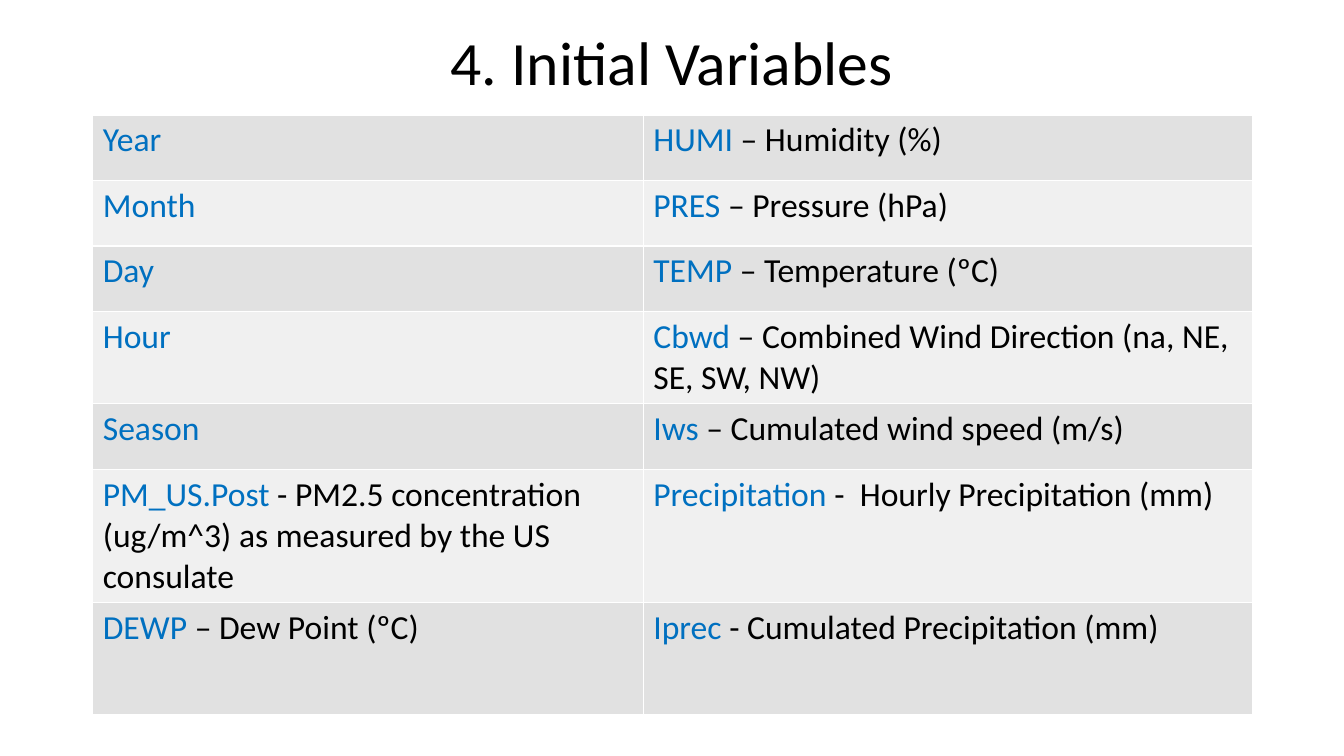
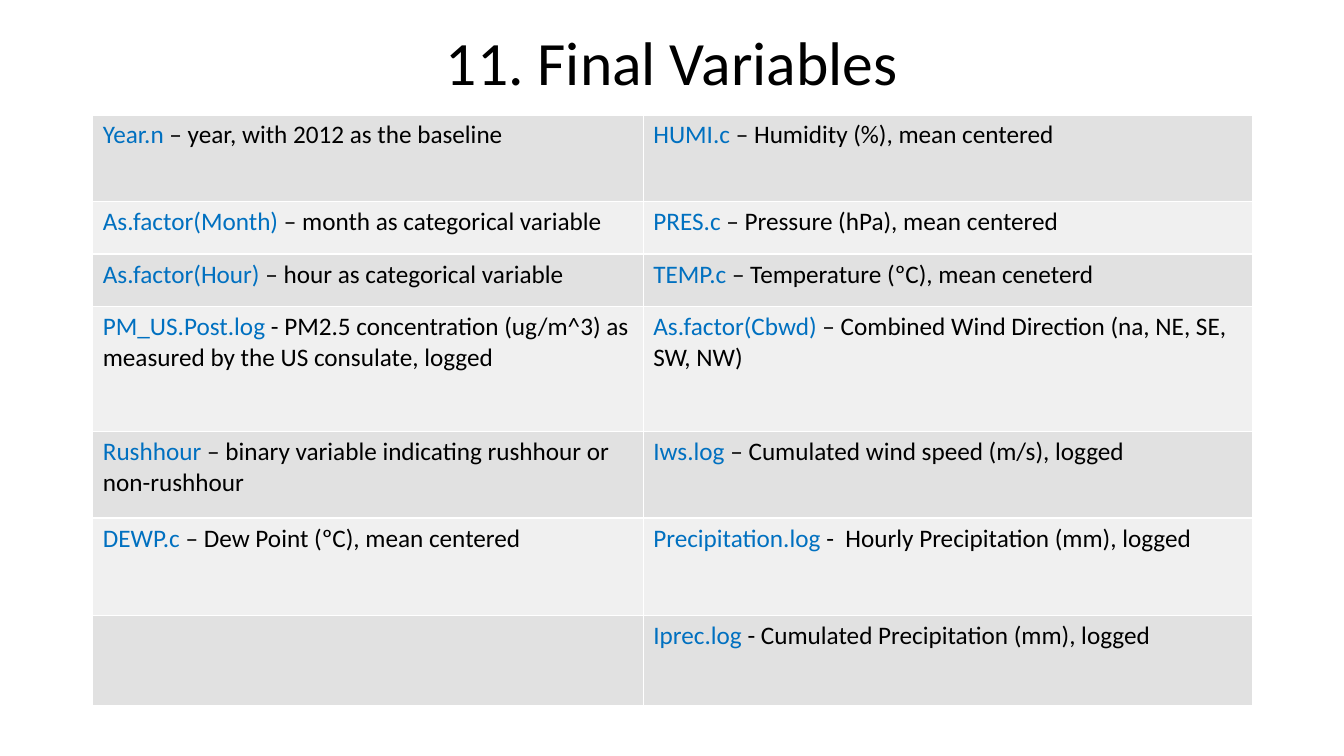
import dataclasses

import lxml.etree
import pptx
import pptx.dml.color
import pptx.enum.text
import pptx.oxml.ns
import pptx.presentation
import pptx.slide
import pptx.table
import pptx.util

Inches = pptx.util.Inches
Pt = pptx.util.Pt
RGBColor = pptx.dml.color.RGBColor

BLACK = RGBColor(0x00, 0x00, 0x00)
WHITE = RGBColor(0xFF, 0xFF, 0xFF)
NAME_BLUE = RGBColor(0x00, 0x70, 0xC0)
BANDS = (RGBColor(0xE1, 0xE1, 0xE1), RGBColor(0xF0, 0xF0, 0xF0))
FONT = "Calibri"
TITLE_SIZE = 44
TITLE_HEIGHT = 1.3
TABLE_LEFT, TABLE_TOP = 0.92, 1.14
COLUMN_WIDTHS = (5.46, 6.04)


@dataclasses.dataclass(frozen=True)
class Variable:
    name: str = ""
    meaning: str = ""


@dataclasses.dataclass(frozen=True)
class Row:
    height: float
    left: Variable
    right: Variable


@dataclasses.dataclass(frozen=True)
class VariablePage:
    title: str
    title_left: float
    title_width: float
    text_size: int
    rows: tuple[Row, ...]


PAGES = (
    VariablePage("4. Initial Variables", 2.44, 8.45, 24, (
        Row(0.65, Variable("Year"), Variable("HUMI ", "– Humidity (%)")),
        Row(0.65, Variable("Month"), Variable("PRES ", "– Pressure (hPa)")),
        Row(0.65, Variable("Day"), Variable("TEMP ", "– Temperature (ºC)")),
        Row(0.84, Variable("Hour"),
            Variable("Cbwd ", "– Combined Wind Direction (na, NE, SE, SW, NW)")),
        Row(0.65, Variable("Season"), Variable("Iws ", "– Cumulated wind speed (m/s)")),
        Row(1.21,
            Variable("PM_US.Post",
                     " - PM2.5 concentration (ug/m^3) as measured by the US consulate"),
            Variable("Precipitation ", "-  Hourly Precipitation (mm)")),
        Row(1.12, Variable("DEWP ", "– Dew Point (ºC)"),
            Variable("Iprec", " - Cumulated Precipitation (mm)")),
    )),
    VariablePage("11. Final Variables", 0, 13.33, 18, (
        Row(0.86, Variable("Year.n ", "– year, with 2012 as the baseline"),
            Variable("HUMI.c ", "– Humidity (%), mean centered")),
        Row(0.52, Variable("As.factor(Month) ", "– month as categorical variable"),
            Variable("PRES.c ", "– Pressure (hPa), mean centered")),
        Row(0.52, Variable("As.factor(Hour) ", "– hour as categorical variable"),
            Variable("TEMP.c ", "– Temperature (ºC), mean ceneterd")),
        Row(1.24,
            Variable("PM_US.Post.log",
                     " - PM2.5 concentration (ug/m^3) as measured by the US consulate, logged"),
            Variable("As.factor(Cbwd) ", "– Combined Wind Direction (na, NE, SE, SW, NW)")),
        Row(0.86,
            Variable("Rushhour ", "– binary variable indicating rushhour or non-rushhour"),
            Variable("Iws.log ", "– Cumulated wind speed (m/s), logged")),
        Row(0.97, Variable("DEWP.c ", "– Dew Point (ºC), mean centered"),
            Variable("Precipitation.log ", "-  Hourly Precipitation (mm), logged")),
        Row(0.89, Variable(),
            Variable("Iprec.log ", "- Cumulated Precipitation (mm), logged")),
    )),
)


def add_span(para, text: str, size: int, color: RGBColor) -> None:
    span = para.add_run()
    span.text = text
    span.font.name = FONT
    span.font.size = Pt(size)
    span.font.bold = False
    span.font.color.rgb = color


def set_title(page: pptx.slide.Slide, content: VariablePage) -> None:
    title = page.shapes.title
    title.left, title.top = Inches(content.title_left), Inches(0)
    title.width, title.height = Inches(content.title_width), Inches(TITLE_HEIGHT)
    frame = title.text_frame
    frame.word_wrap = True
    frame.auto_size = pptx.enum.text.MSO_AUTO_SIZE.NONE
    frame.vertical_anchor = pptx.enum.text.MSO_ANCHOR.MIDDLE
    para = frame.paragraphs[0]
    para.alignment = pptx.enum.text.PP_ALIGN.CENTER
    para.line_spacing = 0.9
    add_span(para, content.title, TITLE_SIZE, BLACK)


def set_borders(cell: pptx.table._Cell) -> None:
    properties = cell._tc.get_or_add_tcPr()
    qn = pptx.oxml.ns.qn
    for side in ("a:lnL", "a:lnR", "a:lnT", "a:lnB"):
        line = lxml.etree.SubElement(properties, qn(side), w=str(Pt(1)))
        fill = lxml.etree.SubElement(line, qn("a:solidFill"))
        lxml.etree.SubElement(fill, qn("a:srgbClr"), val=str(WHITE))


def fill_cell(cell: pptx.table._Cell, variable: Variable, size: int, band: RGBColor) -> None:
    set_borders(cell)
    cell.fill.solid()
    cell.fill.fore_color.rgb = band
    para = cell.text_frame.paragraphs[0]
    for text, color in ((variable.name, NAME_BLUE), (variable.meaning, BLACK)):
        if text:
            add_span(para, text, size, color)


def add_variable_table(page: pptx.slide.Slide, content: VariablePage) -> None:
    height = sum(row.height for row in content.rows)
    table = page.shapes.add_table(
        len(content.rows), len(COLUMN_WIDTHS), Inches(TABLE_LEFT), Inches(TABLE_TOP),
        Inches(sum(COLUMN_WIDTHS)), Inches(height)).table
    table.first_row = False
    table.horz_banding = False
    for column, width in zip(table.columns, COLUMN_WIDTHS):
        column.width = Inches(width)
    for index, row in enumerate(content.rows):
        table.rows[index].height = Inches(row.height)
        for column, variable in enumerate((row.left, row.right)):
            fill_cell(table.cell(index, column), variable, content.text_size,
                      BANDS[index % len(BANDS)])


def add_page(deck: pptx.presentation.Presentation, content: VariablePage) -> None:
    page = deck.slides.add_slide(deck.slide_layouts.get_by_name("Title Only"))
    set_title(page, content)
    add_variable_table(page, content)


def main() -> None:
    deck = pptx.Presentation()
    deck.slide_width, deck.slide_height = Inches(13.33), Inches(7.5)
    for content in PAGES:
        add_page(deck, content)
    deck.save("out.pptx")


if __name__ == "__main__":
    main()
